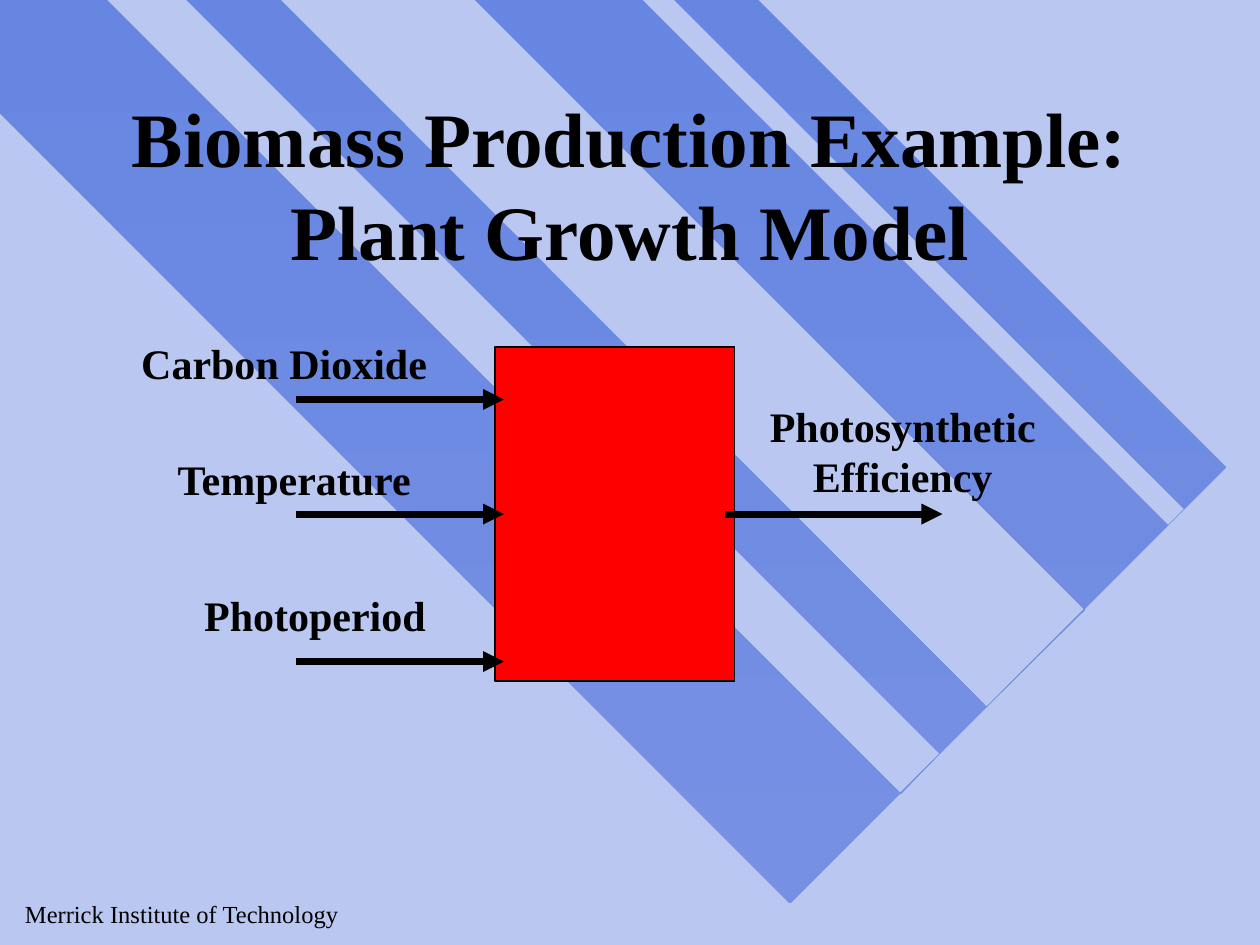
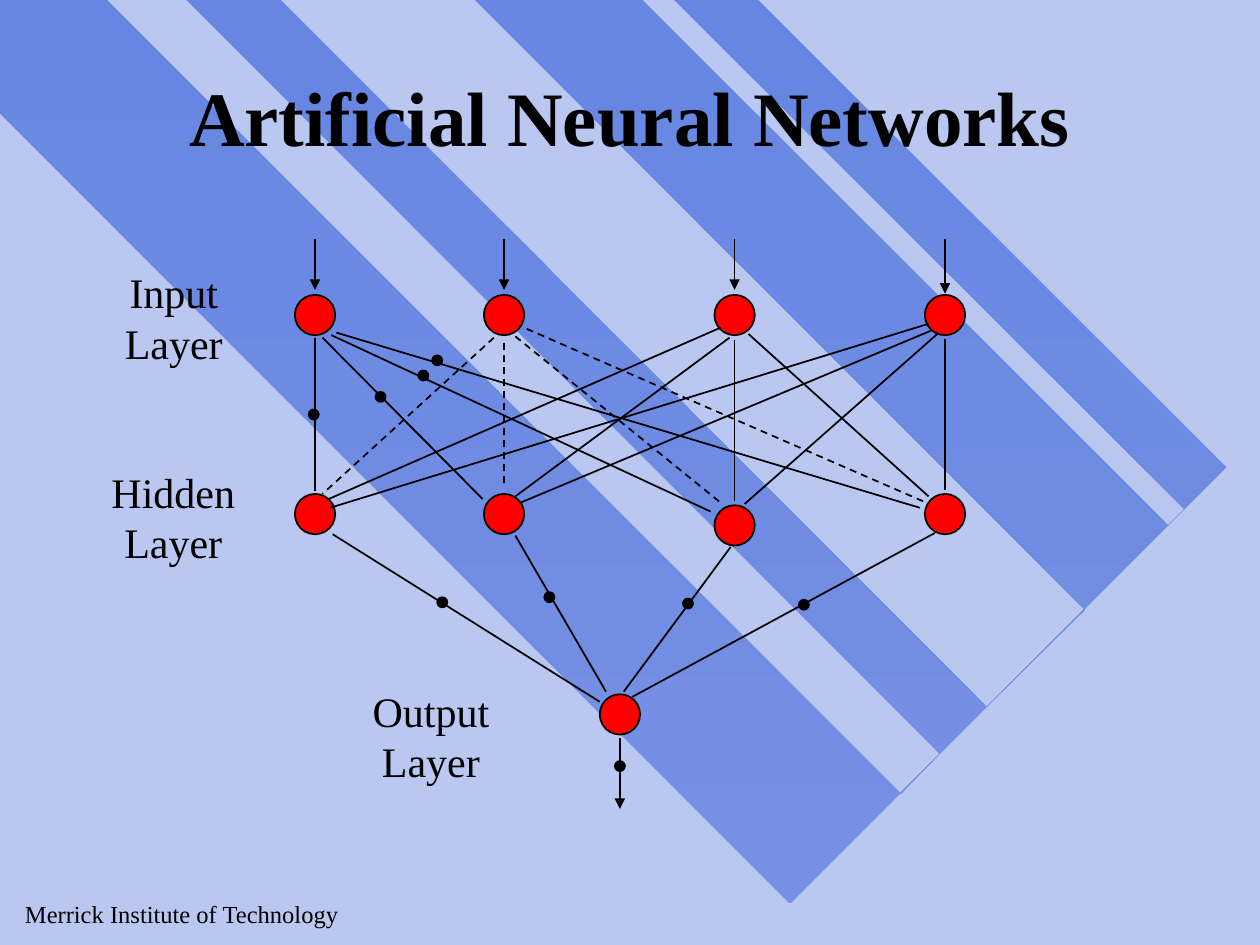
from lxml import etree
from pptx import Presentation
from pptx.dml.color import RGBColor
from pptx.enum.dml import MSO_LINE
from pptx.enum.shapes import MSO_CONNECTOR, MSO_SHAPE
from pptx.enum.text import MSO_ANCHOR, PP_ALIGN
from pptx.oxml.ns import qn
from pptx.util import Inches, Pt

STRAIGHT = MSO_CONNECTOR.STRAIGHT
RECTANGLE, OVAL = MSO_SHAPE.RECTANGLE, MSO_SHAPE.OVAL
DASH = MSO_LINE.DASH
TOP, MIDDLE = MSO_ANCHOR.TOP, MSO_ANCHOR.MIDDLE
LEFT, CENTER = PP_ALIGN.LEFT, PP_ALIGN.CENTER

FONT = "Times New Roman"
color = RGBColor.from_string
BLACK, RED, BACKGROUND = "000000", "FF0000", "BAC8F1"
STRIPE_TOP, STRIPE_BOTTOM = "6786E1", "7691E3"
FOOTER = "Merrick Institute of Technology"
STRIPES = [(9.73, 3.71), (6.02, 0), (5.35, 0), (9.4, 4.04), (9.27, 4.17), (5.1, 0),
           (3.77, 0), (8.61, 4.84), (7.83, 5.61), (2.23, 0), (1.48, 0), (7.46, 5.98),
           (7.15, 6.3), (0.85, 0), (0, 0), (0, 0.9), (6.27, 7.17)]


def add_text(slide, text, left, top, width, height, size=24, bold=False,
             align=CENTER, anchor=TOP):
    box = slide.shapes.add_textbox(Inches(left), Inches(top), Inches(width), Inches(height))
    frame = box.text_frame
    frame.word_wrap = True
    frame.vertical_anchor = anchor
    frame.text = text
    for paragraph in frame.paragraphs:
        paragraph.alignment = align
        for run in paragraph.runs:
            run.font.name = FONT
            run.font.size = Pt(size)
            run.font.bold = bold
            run.font.color.rgb = color(BLACK)


def add_line(slide, x1, y1, x2, y2, width=1, dashed=False, arrow=False):
    connector = slide.shapes.add_connector(
        STRAIGHT, Inches(x1), Inches(y1), Inches(x2), Inches(y2))
    connector.line.color.rgb = color(BLACK)
    connector.line.width = Pt(width)
    if dashed:
        connector.line.dash_style = DASH
    properties = connector._element.spPr
    if arrow:
        outline = properties.find(qn("a:ln"))
        etree.SubElement(outline, qn("a:tailEnd"), type="triangle")
    etree.SubElement(properties, qn("a:effectLst"))


presentation = Presentation()
presentation.slide_width, presentation.slide_height = Inches(10), Inches(7.5)

# Shared background, stripes, footer and title
titles = [("Biomass Production Example:\nPlant Growth Model", 0.83, 1.25),
          ("Artificial Neural Networks", 0.25, 1.33)]
for title, top, height in titles:
    slide = presentation.slides.add_slide(presentation.slide_layouts[6])
    slide.background.fill.solid()
    slide.background.fill.fore_color.rgb = color(BACKGROUND)

    points = [(Inches(x), Inches(y)) for x, y in STRIPES]
    builder = slide.shapes.build_freeform(*points[0])
    builder.add_line_segments(points[1:], close=True)
    stripes = builder.convert_to_shape()
    stripes.shadow.inherit = False
    stripes.line.fill.background()
    stripes.fill.gradient()
    stripes.fill.gradient_angle = 270
    for stop, stop_color in zip(stripes.fill.gradient_stops, (STRIPE_TOP, STRIPE_BOTTOM)):
        stop.color.rgb = color(stop_color)

    add_text(slide, FOOTER, 0.1, 7.09, 3, 0.33, size=14, align=LEFT, anchor=MIDDLE)
    add_text(slide, title, 0.75, top, 8.5, height, size=44, bold=True, anchor=MIDDLE)

growth_slide, network_slide = presentation.slides

# Shapes of both slides: the model box, the neurons and the weight dots
COLUMNS = [2.5, 4, 5.83, 7.5]
neurons = [(x, 2.5) for x in COLUMNS]
neurons += list(zip(COLUMNS, [4.08, 4.08, 4.17, 4.08])) + [(4.92, 5.67)]
weights = [(2.49, 3.29), (3.02, 3.15), (3.36, 2.98), (3.47, 2.86), (3.51, 4.78),
           (4.36, 4.74), (5.46, 4.79), (6.38, 4.8), (4.92, 6.08)]
groups = [(growth_slide, RECTANGLE, [(4.88, 4.08)], 1.9, 2.65, RED),
          (network_slide, OVAL, neurons, 0.32, 0.32, RED),
          (network_slide, OVAL, weights, 0.08, 0.08, BLACK)]
for slide, kind, centers, width, height, fill in groups:
    for x, y in centers:
        shape = slide.shapes.add_shape(kind, Inches(x - width / 2), Inches(y - height / 2),
                                       Inches(width), Inches(height))
        shape.shadow.inherit = False
        shape.fill.solid()
        shape.fill.fore_color.rgb = color(fill)
        shape.line.color.rgb = color(BLACK)
        shape.line.width = Pt(1)

# Plant growth model: inputs and output
for y in (3.17, 4.08, 5.25):
    add_line(growth_slide, 2.35, y, 4, y, width=4, arrow=True)
add_line(growth_slide, 5.75, 4.08, 7.48, 4.08, width=4, arrow=True)
for label, left, top, width, height in [
        ("Carbon Dioxide", 0.92, 2.63, 2.67, 0.5),
        ("Temperature", 1.29, 3.55, 2.09, 0.5),
        ("Photoperiod", 1.42, 4.63, 2.16, 0.5),
        ("Photosynthetic\nEfficiency", 5.91, 3.13, 2.51, 0.9)]:
    add_text(growth_slide, label, left, top, width, height, bold=True)

# Neural network: links from each input neuron to the hidden layer
input_links = [
    [(2.5, 2.68, 2.5, 3.9), (2.56, 2.68, 3.83, 3.96),
     (2.63, 2.66, 5.64, 4.06), (2.67, 2.64, 7.3, 4.03)],
    [(3.92, 2.68, 2.56, 3.92), (4, 2.72, 4, 3.86),
     (4.09, 2.67, 5.72, 3.99), (4.18, 2.61, 7.33, 3.98)],
    [(5.72, 2.6, 2.61, 3.96), (5.79, 2.68, 4.09, 3.94),
     (5.83, 2.7, 5.83, 3.98), (5.94, 2.65, 7.37, 3.94)],
    [(7.37, 2.57, 2.62, 4.03), (7.4, 2.62, 4.13, 3.99),
     (7.44, 2.65, 5.91, 4), (7.5, 2.69, 7.5, 3.89)]]
for index, links in enumerate(input_links):
    for link in links:
        add_line(network_slide, *link, dashed=index == 1)

# Links from the hidden layer to the output neuron
for link in [(2.64, 4.24, 4.76, 5.57), (4.09, 4.25, 4.81, 5.49),
             (5.8, 4.34, 4.95, 5.49), (7.42, 4.23, 5.02, 5.53)]:
    add_line(network_slide, *link)

# Arrows into and out of the network
for x, end in zip(COLUMNS, (2.3, 2.3, 2.3, 2.33)):
    add_line(network_slide, x, 1.9, x, end, arrow=True)
add_line(network_slide, 4.92, 5.86, 4.92, 6.42, arrow=True)

# Layer names
for layer, left, top, width in [("Input", 0.75, 2.07, 1.26),
                                ("Hidden", 0.65, 3.65, 1.45),
                                ("Output", 2.72, 5.39, 1.4)]:
    add_text(network_slide, f"{layer}\nLayer", left, top, width, 0.9)

presentation.save("out.pptx")
